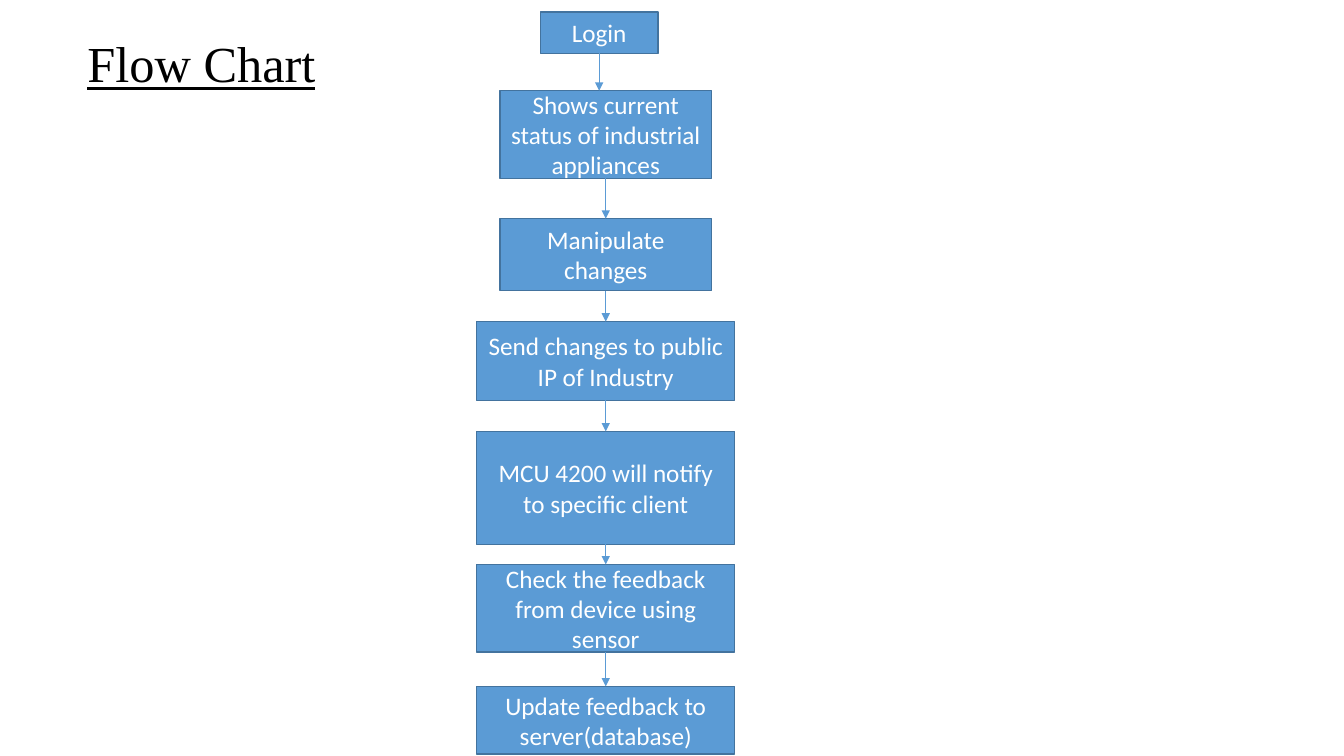
from lxml.etree import SubElement
from pptx import Presentation
from pptx.dml.color import RGBColor
from pptx.enum.shapes import MSO_CONNECTOR, MSO_SHAPE
from pptx.enum.text import MSO_ANCHOR, MSO_AUTO_SIZE, PP_ALIGN
from pptx.oxml.ns import qn
from pptx.util import Pt

BLUE = "5B9BD5"
BORDER = "43739E"
MAIN_CENTER = 432.7

STEPS = [
    ("Login", 428, 8.6, 84.2, 29.6),
    ("Shows current status of industrial appliances", MAIN_CENTER, 64.8, 151.2, 62.6),
    ("Manipulate changes", MAIN_CENTER, 156.2, 151.2, 51.4),
    ("Send changes to public IP of Industry", MAIN_CENTER, 229.7, 184.4, 56.2),
    ("MCU 4200 will notify to specific client", MAIN_CENTER, 308.2, 184.4, 80.6),
    ("Check the feedback from device using sensor", MAIN_CENTER, 403.2, 184.4, 62.6),
    ("Update feedback to server(database)", MAIN_CENTER, 490.3, 184.4, 48.2),
]


def rgb(value):
    return RGBColor.from_string(value)


def write(tf, text, size, font, color, align=PP_ALIGN.LEFT, underline=False):
    tf.word_wrap = True
    p = tf.paragraphs[0]
    p.alignment = align
    r = p.add_run()
    r.text = text
    r.font.size = Pt(size)
    r.font.name = font
    r.font.color.rgb = rgb(color)
    if underline:
        r.font.underline = True


def add_title(s, text, left, top, width, height):
    tf = s.shapes.add_textbox(Pt(left), Pt(top), Pt(width), Pt(height)).text_frame
    tf.auto_size = MSO_AUTO_SIZE.SHAPE_TO_FIT_TEXT
    write(tf, text, size=36, font="Times New Roman", color="000000", underline=True)


def add_step(s, text, center, top, width, height):
    sp = s.shapes.add_shape(
        MSO_SHAPE.RECTANGLE, Pt(center - width / 2), Pt(top), Pt(width), Pt(height)
    )
    sp.shadow.inherit = False
    sp.fill.solid()
    sp.fill.fore_color.rgb = rgb(BLUE)
    sp.line.color.rgb = rgb(BORDER)
    sp.line.width = Pt(1)
    tf = sp.text_frame
    tf.vertical_anchor = MSO_ANCHOR.MIDDLE
    write(tf, text, size=18, font="Calibri", color="FFFFFF", align=PP_ALIGN.CENTER)


def add_arrow(s, x, top, bottom):
    line = s.shapes.add_connector(
        MSO_CONNECTOR.STRAIGHT, Pt(x), Pt(top), Pt(x), Pt(bottom)
    )
    line.line.color.rgb = rgb(BLUE)
    line.line.width = Pt(0.5)
    SubElement(line.line._get_or_add_ln(), qn("a:tailEnd"), type="triangle")
    SubElement(line._element.spPr, qn("a:effectLst"))


def main():
    prs = Presentation()
    prs.slide_width = Pt(960)
    prs.slide_height = Pt(540)
    s = prs.slides.add_slide(prs.slide_layouts[6])

    for step in STEPS:
        add_step(s, *step)
    for (_, center, top, _, height), (_, _, next_top, _, _) in zip(STEPS, STEPS[1:]):
        add_arrow(s, center, top + height, next_top)
    add_title(s, "Flow Chart", 55.4, 19.4, 234.7, 51.1)

    prs.save("out.pptx")


if __name__ == "__main__":
    main()
